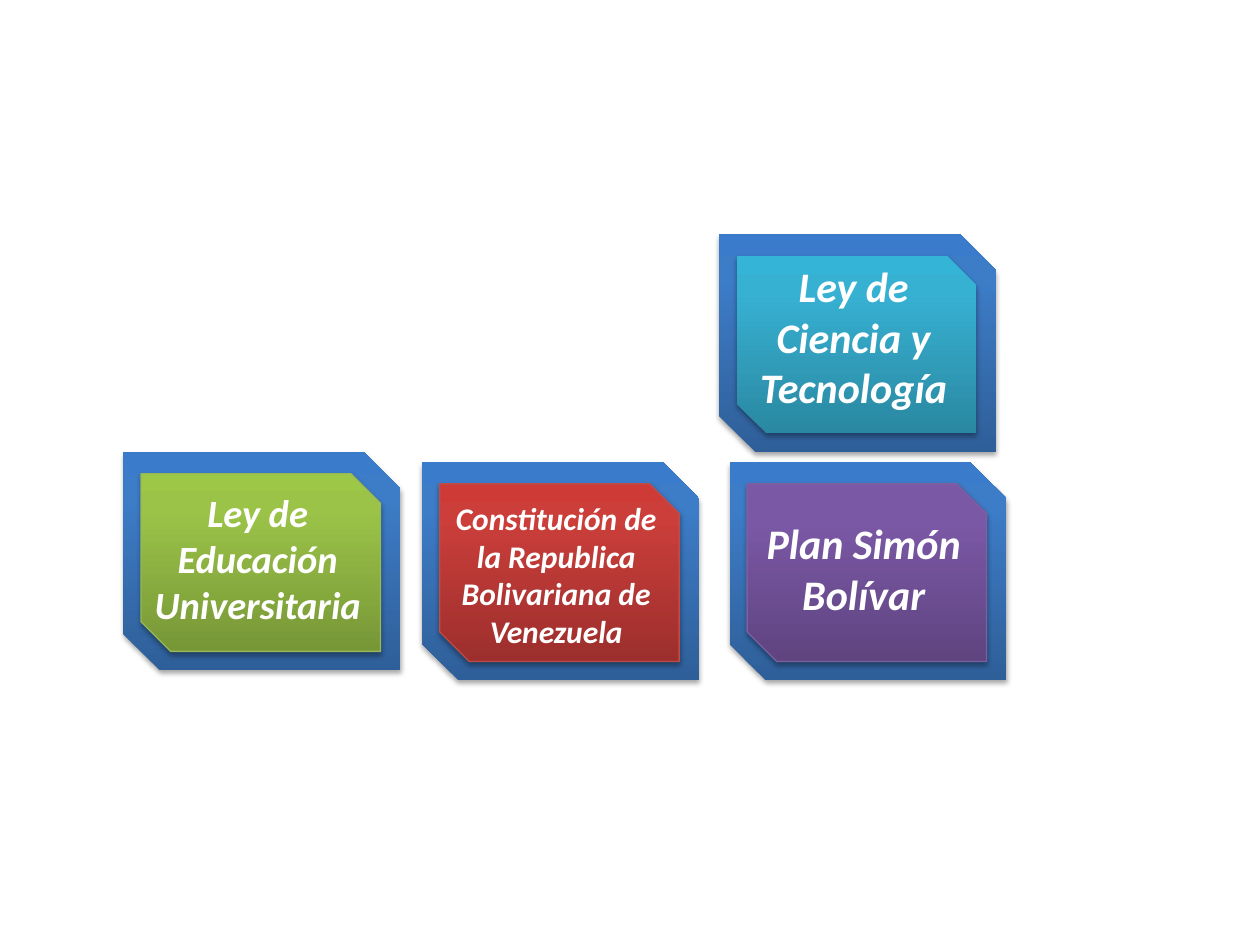
import copy
from dataclasses import dataclass

import lxml.etree
import pptx
import pptx.dml.color
import pptx.enum.shapes
import pptx.enum.text
import pptx.oxml.ns
import pptx.util
from pptx.util import Inches

COLORS = {
    "frame": ("2F5F99", "3D7CC7", "3A7CCB"),
    "green": ("779737", "9BC348", "9DC746"),
    "red": ("9C2F2D", "CB3E3A", "CE3B37"),
    "purple": ("5F4480", "7B58A6", "7C57A8"),
    "teal": ("2A88A2", "37B1D2", "34B4D6"),
    "green_edge": "98B955",
    "red_edge": "BF4C48",
    "purple_edge": "7D60A0",
    "text": "FFFFFF",
    "shadow": "000000",
}
STOP_POSITIONS = (0, 0.8, 1)
FRAME_SIZE = (2.2, 1.73)
PANEL_SIZE = (1.9, 1.41)
PANEL_OFFSET = (0.14, 0.17)
LABEL_OFFSET = 0.08
LABEL_WIDTH = 1.97


@dataclass(frozen=True)
class LawCard:
    title: str
    left: float
    top: float
    color: str
    font_size: int
    label_top: float
    label_height: float


LAW_CARDS = [
    LawCard("Ley de Educación Universitaria", 0.98, 3.59, "green", 22, 3.83, 1.21),
    LawCard("Constitución de la Republica Bolivariana de Venezuela",
            3.35, 3.67, "red", 18, 3.91, 1.31),
    LawCard("Plan Simón Bolívar", 5.79, 3.67, "purple", 24, 4.06, 0.91),
    LawCard("Ley de Ciencia y Tecnología", 5.71, 1.86, "teal", 24, 2.02, 1.31),
]


def rgb(value: str) -> pptx.dml.color.RGBColor:
    return pptx.dml.color.RGBColor.from_string(value)


def apply_gradient(shape, colors: tuple[str, str, str]) -> None:
    shape.fill.gradient()
    shape.fill.gradient_angle = 90
    stop_list = shape._element.spPr.find(".//" + pptx.oxml.ns.qn("a:gsLst"))
    stop_list.append(copy.deepcopy(stop_list[-1]))
    for stop, position, color in zip(shape.fill.gradient_stops, STOP_POSITIONS, colors):
        stop.color.rgb = rgb(color)
        stop.position = position


def apply_shadow(shape) -> None:
    qn = pptx.oxml.ns.qn
    shape.shadow.inherit = False
    effects = shape._element.spPr.find(qn("a:effectLst"))
    shadow = lxml.etree.SubElement(
        effects, qn("a:outerShdw"),
        blurRad=str(pptx.util.Pt(3.1)), dist=str(pptx.util.Pt(1.8)),
        dir="5400000", rotWithShape="0")
    color = lxml.etree.SubElement(shadow, qn("a:srgbClr"), val=COLORS["shadow"])
    lxml.etree.SubElement(color, qn("a:alpha"), val="35000")


def add_plate(group, left: float, top: float, size: tuple[float, float],
              color: str) -> None:
    plate = group.shapes.add_shape(
        pptx.enum.shapes.MSO_SHAPE.SNIP_2_DIAG_RECTANGLE,
        Inches(left), Inches(top), Inches(size[0]), Inches(size[1]))
    apply_gradient(plate, COLORS[color])
    edge = COLORS.get(f"{color}_edge")
    if edge:
        plate.line.color.rgb = rgb(edge)
        plate.line.width = pptx.util.Pt(0.75)
    else:
        plate.line.fill.background()
    apply_shadow(plate)


def add_label(group, card: LawCard) -> None:
    label = group.shapes.add_textbox(
        Inches(card.left + LABEL_OFFSET), Inches(card.label_top),
        Inches(LABEL_WIDTH), Inches(card.label_height))
    frame = label.text_frame
    frame.word_wrap = True
    frame.auto_size = pptx.enum.text.MSO_AUTO_SIZE.SHAPE_TO_FIT_TEXT
    frame.text = card.title
    paragraph = frame.paragraphs[0]
    paragraph.alignment = pptx.enum.text.PP_ALIGN.CENTER
    font = paragraph.runs[0].font
    font.name = "Calibri"
    font.size = pptx.util.Pt(card.font_size)
    font.bold = True
    font.italic = True
    font.color.rgb = rgb(COLORS["text"])


def add_law_card(slide, card: LawCard) -> None:
    group = slide.shapes.add_group_shape()
    add_plate(group, card.left, card.top, FRAME_SIZE, "frame")
    add_plate(group, card.left + PANEL_OFFSET[0], card.top + PANEL_OFFSET[1],
              PANEL_SIZE, card.color)
    add_label(group, card)


def main() -> None:
    presentation = pptx.Presentation()
    presentation.slide_width = Inches(10)
    presentation.slide_height = Inches(7.5)
    slide = presentation.slides.add_slide(presentation.slide_layouts[6])
    for card in LAW_CARDS:
        add_law_card(slide, card)
    presentation.save("out.pptx")


if __name__ == "__main__":
    main()
